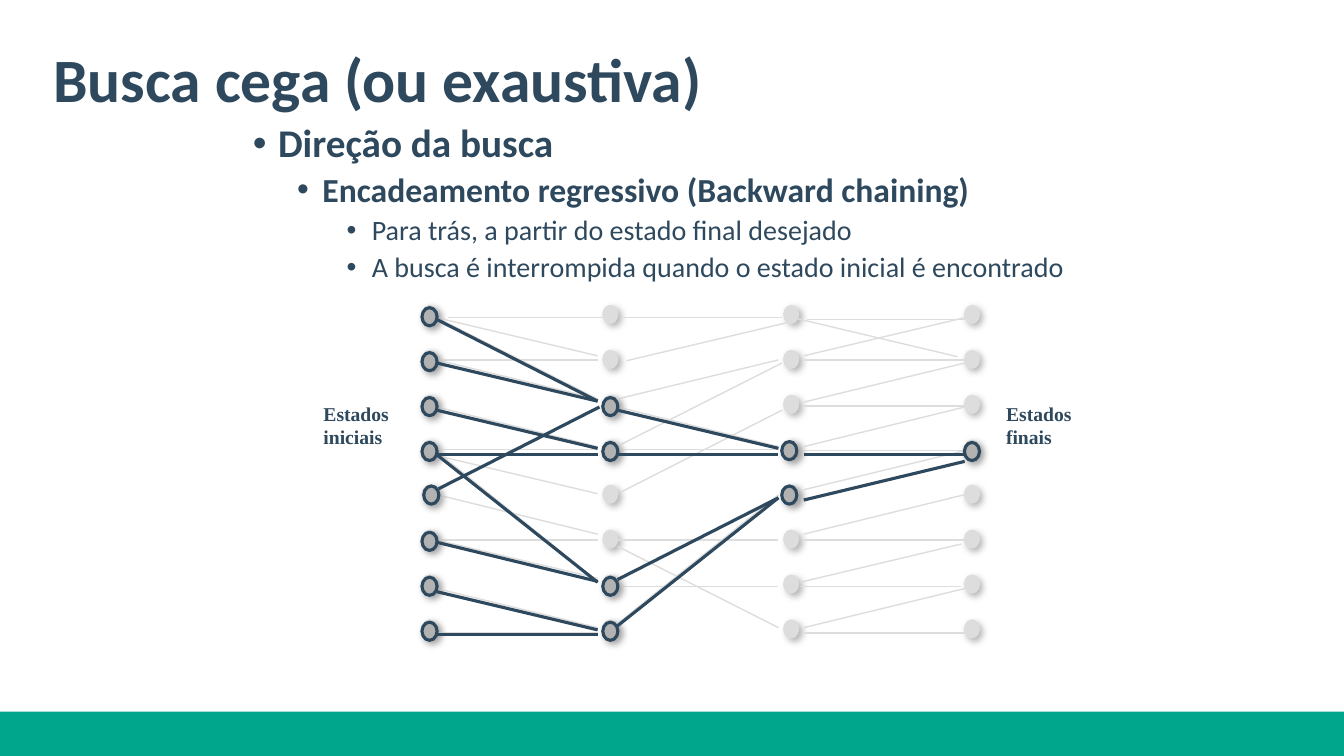
from collections import namedtuple
from itertools import product

from lxml.etree import SubElement
from pptx import Presentation
from pptx.dml.color import RGBColor
from pptx.enum.shapes import MSO_CONNECTOR, MSO_SHAPE
from pptx.enum.text import MSO_ANCHOR, MSO_AUTO_SIZE, PP_ALIGN
from pptx.oxml.ns import qn
from pptx.util import Inches, Pt

NAVY = RGBColor(0x2E, 0x49, 0x5E)
GREEN = RGBColor(0x00, 0xA6, 0x8B)
PALE = RGBColor(0xDD, 0xDD, 0xDD)
GRAY = RGBColor(0xB2, 0xB2, 0xB2)
SHADOW = RGBColor(0x9F, 0x9D, 0x9E)

Box = namedtuple("Box", "left top width height")
SLIDE = Box(0, 0, 13.33, 7.5)
TITLE = Box(0.43, 0.09, 11.5, 1.45)
TOPICS = Box(1.91, 1.18, 9.5, 3.62)
NETWORK = Box(4.26, 3.12, 5.38, 3.12)  # spans the centres of the outer nodes
FOOTER = Box(0, 7.06, SLIDE.width, 0.44)
COLUMNS, ROWS = 4, 8
NODE_WIDTH, NODE_HEIGHT = 0.15, 0.18

# level: (left indent, size, bold)
LEVELS = {1: (0.75, 28, True), 2: (1.19, 24, True), 3: (1.68, 20, False)}
TOPIC_LINES = [
    (1, "Direção da busca"),
    (2, "Encadeamento regressivo (Backward chaining)"),
    (3, "Para trás, a partir do estado final desejado"),
    (3, "A busca é interrompida quando o estado inicial é encontrado"),
]

# Where the edges of each gap between columns begin, and their length, in columns
GAP_STARTS = [0.04, 1.04, 2.07]
EDGE_LENGTH = 0.89

# Per gap: (row at left, row at right, optional sideways shift in columns)
PALE_EDGES = [
    [(0.07, 0.92), (1.01, 1.01), (2.06, 2.94), (4.01, 4.89), (5.02, 5.02),
     (6.1, 6.97), (7.09, 7.09), (3.88, 2.06), (5.02, 5.87), (0.07, 1.88),
     (1.01, 1.88), (3.14, 3.99), (0.07, 0.07, 0.06), (3.05, 5.94), (3, 3)],
    [(1.88, 1.01), (5.02, 5.02), (2.06, 2.94), (5.16, 6.97), (6.88, 4.01),
     (3.95, 2.13, 0.02), (2.89, 1.08, 0.02), (6.05, 6.05), (0.07, 0.07, 0.02),
     (1.03, 0.18, 0.05), (3, 3), (5.92, 4.1), (3, 3, -0.02)],
    [(0.92, 0.07), (1.01, 1.01), (2.94, 2.06), (4.89, 4.01), (5.02, 5.02),
     (6.97, 6.1), (7.09, 7.09), (3.9, 3.03), (3.03, 3.03), (1.95, 1.08),
     (2.04, 2.04), (5.96, 5.11, -0.02), (6.05, 6.05, -0.02),
     (0.09, 0.94, -0.04), (0.11, 0.11, 0.02)],
]
SEARCH_EDGES = [
    [(2.13, 2.98), (3.12, 3.12), (6.17, 7.02), (7.13, 7.13), (5.07, 5.94),
     (3.12, 5.96), (0.11, 1.93), (1.08, 1.93), (3.88, 2.06, 0.01)],
    [(2.13, 2.98), (3.12, 3.12), (6.93, 4.08), (5.9, 4.08)],
    [(3.12, 3.12), (4.13, 3.27)],
]
PALE_NODES = list(product(range(COLUMNS), range(ROWS)))
SEARCH_NODES = [
    (0, 0.05), (0, 1.05), (0, 2.05), (0, 3.05), (0.01, 4.02), (0, 5.05),
    (0, 6.05), (0, 7.05), (1, 2.05), (1, 3.05), (1, 6.05), (1, 7.05),
    (1.99, 3.03), (1.99, 4.02), (3, 3.05),
]


def inches(box):
    return [Inches(length) for length in box]


def style_font(font, name, size, bold):
    font.name, font.size, font.bold = name, Pt(size), bold
    font.color.rgb = NAVY


def grid_point(box, column, row):
    return (box.left + column * box.width / (COLUMNS - 1),
            box.top + row * box.height / (ROWS - 1))


def add_title(page, box):
    title = page.shapes.title
    title.left, title.top, title.width, title.height = inches(box)
    frame = title.text_frame
    frame.text = "Busca cega (ou exaustiva)"
    frame.auto_size = MSO_AUTO_SIZE.NONE
    frame.vertical_anchor = MSO_ANCHOR.MIDDLE
    para = frame.paragraphs[0]
    para.alignment = PP_ALIGN.LEFT
    para.line_spacing = 0.9
    style_font(para.runs[0].font, "Calibri", 44, True)


def add_bullet(para, indent):
    properties = para._p.get_or_add_pPr()
    properties.set("marL", str(Inches(indent)))
    properties.set("indent", str(Inches(-0.25)))
    color = SubElement(properties, qn("a:buClr"))
    SubElement(color, qn("a:srgbClr"), val=str(NAVY))
    SubElement(properties, qn("a:buFont"), typeface="Arial")
    SubElement(properties, qn("a:buChar"), char="•")


def add_topics(page, box):
    frame = page.shapes.add_textbox(*inches(box)).text_frame
    frame.word_wrap = True
    frame.margin_right = 0
    for index, (level, words) in enumerate(TOPIC_LINES):
        para = frame.add_paragraph() if index else frame.paragraphs[0]
        indent, size, bold = LEVELS[level]
        para.text = words
        para.level = level
        add_bullet(para, indent)
        para.line_spacing = 0.9
        if index:
            para.space_before = Pt(5)
        style_font(para.runs[0].font, "Calibri", size, bold)


def add_node_shadow(node):
    effects = SubElement(node._element.spPr, qn("a:effectLst"))
    shadow = SubElement(effects, qn("a:outerShdw"), blurRad=str(Pt(5)),
                        dist=str(Pt(3)), dir="2700000", rotWithShape="0")
    color = SubElement(shadow, qn("a:srgbClr"), val=str(SHADOW))
    SubElement(color, qn("a:alpha"), val="75000")


def add_nodes(page, box, places, fill, outline, weight):
    for column, row in places:
        x, y = grid_point(box, column, row)
        node = page.shapes.add_shape(MSO_SHAPE.OVAL, *inches(
            (x - NODE_WIDTH / 2, y - NODE_HEIGHT / 2, NODE_WIDTH, NODE_HEIGHT)))
        node.fill.solid()
        node.fill.fore_color.rgb = fill
        node.line.color.rgb = outline
        node.line.width = Pt(weight)
        add_node_shadow(node)


def add_edges(page, box, gaps, color, weight):
    for start, edges in zip(GAP_STARTS, gaps):
        for left_row, right_row, *shift in edges:
            column = start + sum(shift)
            ends = (grid_point(box, column, left_row)
                    + grid_point(box, column + EDGE_LENGTH, right_row))
            edge = page.shapes.add_connector(MSO_CONNECTOR.STRAIGHT, *inches(ends))
            edge.line.color.rgb = color
            edge.line.width = Pt(weight)
            SubElement(edge._element.spPr, qn("a:effectLst"))


def add_state_label(page, box, words):
    frame = page.shapes.add_textbox(*inches(box)).text_frame
    frame.word_wrap = True
    frame.vertical_anchor = MSO_ANCHOR.MIDDLE
    frame.text = words
    for para in frame.paragraphs:
        style_font(para.runs[0].font, "Times New Roman", 14, True)


def add_network(page, box):
    add_nodes(page, box, PALE_NODES, PALE, PALE, 0.75)
    add_edges(page, box, PALE_EDGES, PALE, 1)
    label_top = box.top + 0.8
    add_state_label(page, Box(box.left - 1.15, label_top, 0.9, 0.6),
                    "Estados\niniciais")
    add_state_label(page, Box(box.left + box.width + 0.24, label_top, 0.9, 0.6),
                    "Estados\nfinais")
    add_nodes(page, box, SEARCH_NODES, GRAY, NAVY, 2.25)
    add_edges(page, box, SEARCH_EDGES, NAVY, 2.25)


def add_footer_band(page, box):
    band = page.shapes.add_shape(MSO_SHAPE.RECTANGLE, *inches(box))
    band.shadow.inherit = False
    band.fill.solid()
    band.fill.fore_color.rgb = GREEN
    band.line.fill.background()


def main():
    deck = Presentation()
    deck.slide_width, deck.slide_height = Inches(SLIDE.width), Inches(SLIDE.height)
    page = deck.slides.add_slide(deck.slide_layouts[5])
    add_footer_band(page, FOOTER)
    add_title(page, TITLE)
    add_topics(page, TOPICS)
    add_network(page, NETWORK)
    deck.save("out.pptx")


if __name__ == "__main__":
    main()
